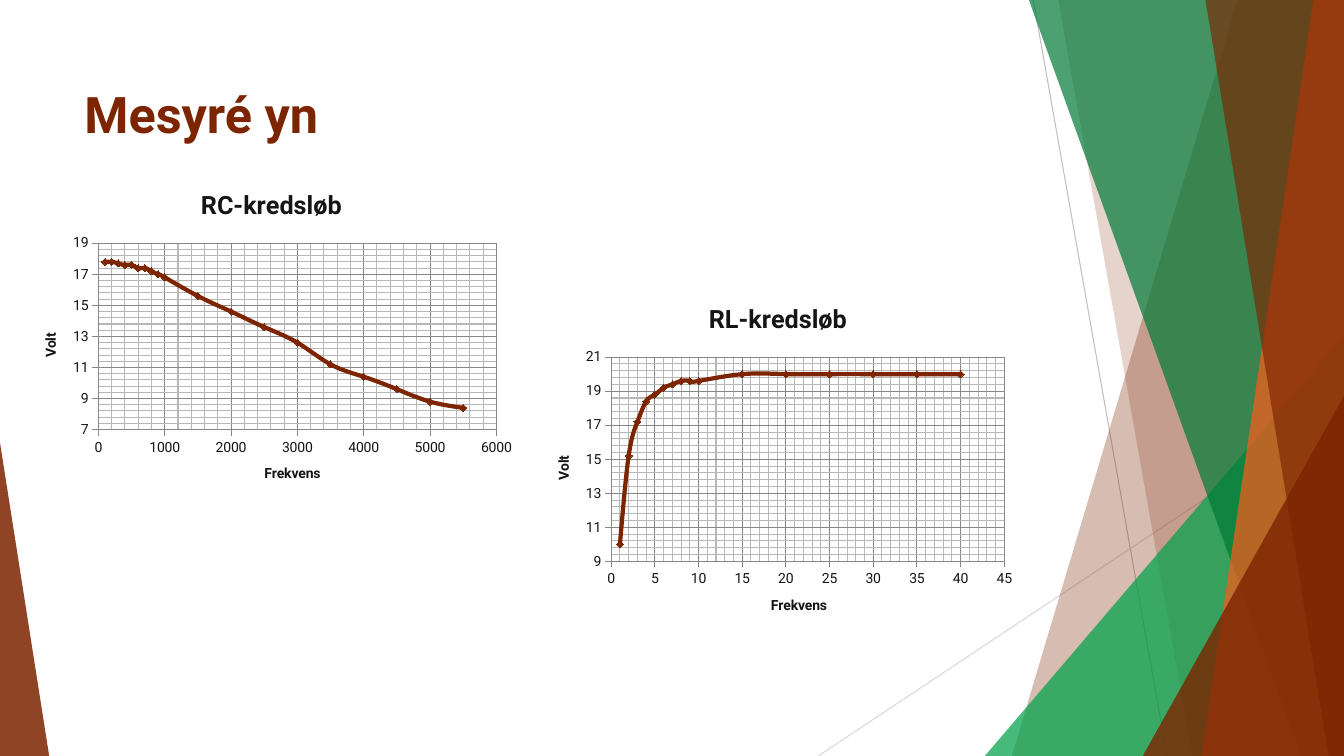
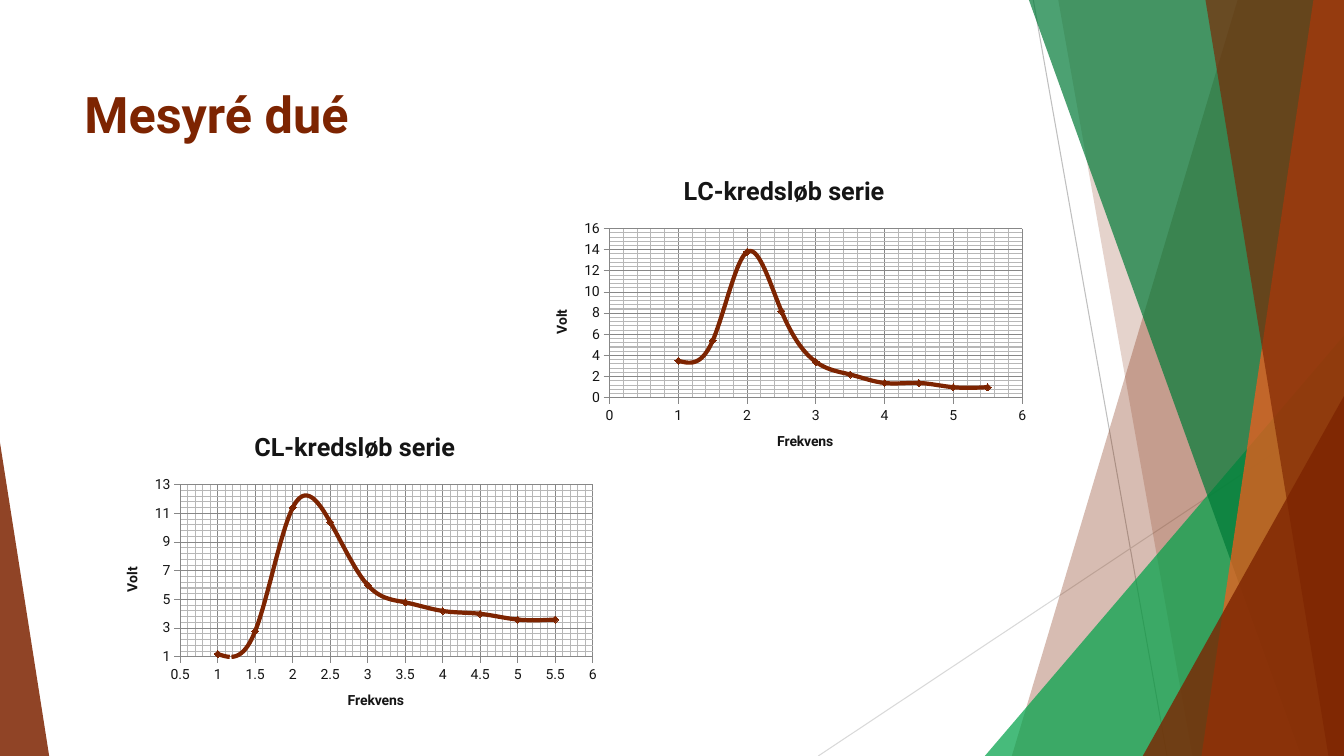
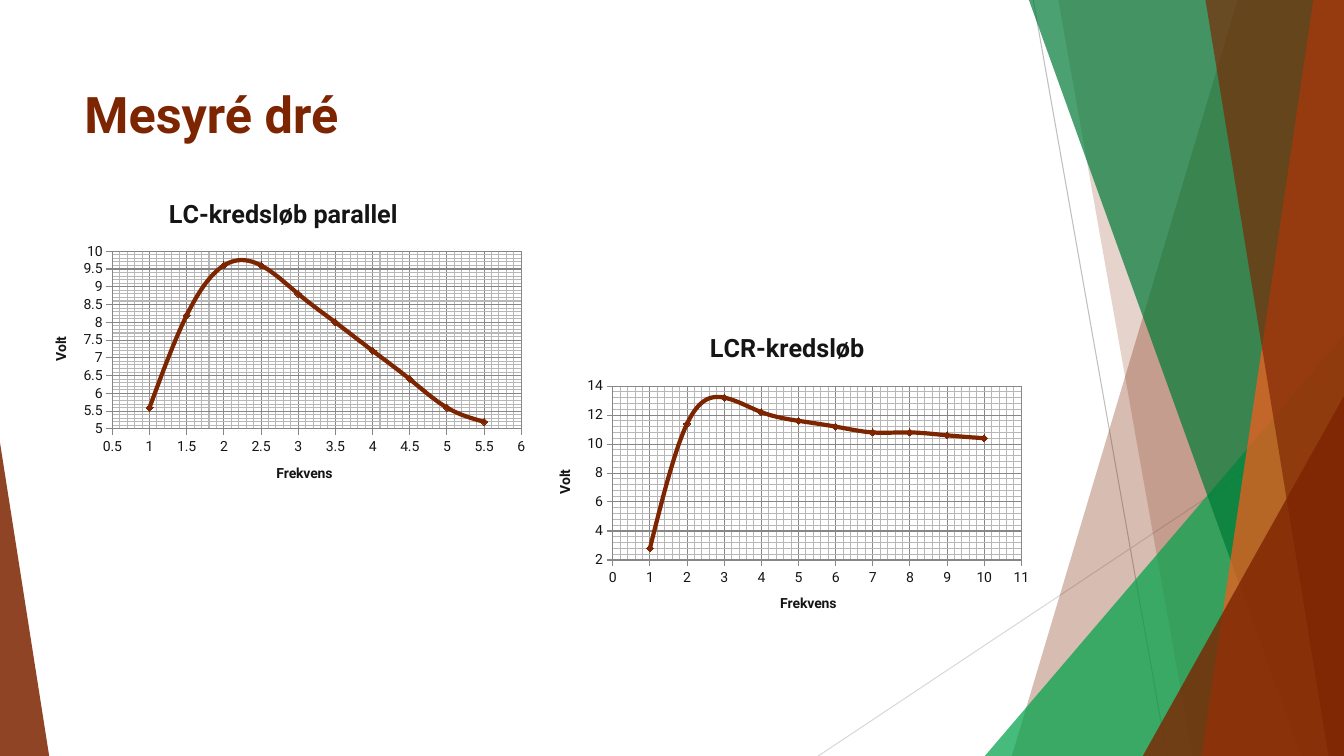
from pptx import Presentation
from pptx import util as u
from pptx.chart import data
from pptx.dml.color import RGBColor
from pptx.enum import chart as kinds, shapes, text
from pptx.oxml import ns, xmlchemy as xml

RUST = RGBColor(0x7D, 0x24, 0x01)
GREEN = RGBColor(0x00, 0xA2, 0x49)
PINE = RGBColor(0x00, 0x7A, 0x37)
FLAME = RGBColor(0xFD, 0x5A, 0x1A)
INK = RGBColor(0x15, 0x15, 0x15)
GRID = RGBColor(0x87, 0x87, 0x87)
SILVER = RGBColor(0xBF, 0xBF, 0xBF)
MIST = RGBColor(0xD9, 0xD9, 0xD9)

WIDE, HIGH = 33.87, 19.05
HALVES = [1 + n / 2 for n in range(10)]
TENS = list(range(1, 11))


def put(item, **values):
    for name, value in values.items():
        setattr(item, name, value)


class Deck:
    """Holds the style and the current slide."""

    head = dict(name="Roboto", size=u.Pt(36), bold=True)
    body = dict(name="Roboto", size=u.Pt(10), bold=False)
    label = dict(name="Roboto", size=u.Pt(10), bold=True)
    top = dict(name="Roboto", size=u.Pt(18), bold=True)

    def __init__(self):
        self.show = Presentation()
        put(self.show, slide_width=u.Cm(WIDE), slide_height=u.Cm(HIGH))
        self.slide = None

    def page(self, title):
        self.slide = self.show.slides.add_slide(self.show.slide_layouts[6])
        self.decor()
        self.title(title)

    # Type
    def type(self, font, style, color):
        put(font, **style)
        font.color.rgb = color

    def title(self, words):
        box = self.slide.shapes.add_textbox(
            u.Cm(1.88), u.Cm(1.96), u.Cm(23.88), u.Cm(2.59))
        frame = box.text_frame
        put(frame, word_wrap=True, vertical_anchor=text.MSO_ANCHOR.TOP)
        frame.text = words
        self.type(frame.paragraphs[0].runs[0].font, self.head, RUST)

    # Background facets
    def decor(self):
        self.line(26.04, 0, 29.41, HIGH, SILVER)
        self.line(WIDE, 10.24, 20.62, HIGH, MIST)
        self.panel(31.19, 25.5, RUST, 30)
        self.panel(26.67, 30.05, RUST, 20)
        self.wedge(24.82, 8.46, 9.05, 1, GREEN, 72)
        self.panel(25.93, 32.79, PINE, 70)
        self.panel(33.1, 30.28, FLAME, 70)
        self.panel(30.38, 33.48, RUST, 65)
        self.wedge(28.8, 9.98, 5.07, 1, RUST, 80)
        self.wedge(0, 11.15, 1.24, 0, RUST, 85)

    def line(self, x1, y1, x2, y2, color):
        line = self.slide.shapes.add_connector(
            shapes.MSO_CONNECTOR.STRAIGHT, *map(u.Cm, (x1, y1, x2, y2)))
        line.line.color.rgb = color
        line.line.width = u.Pt(0.75)
        line.element.spPr.append(xml.OxmlElement("a:effectLst"))

    def panel(self, high, low, color, alpha):
        """Fill from a slanted edge to the right side of the slide."""
        pen = self.slide.shapes.build_freeform(u.Cm(high), 0)
        ends = [(WIDE, 0), (WIDE, HIGH), (low, HIGH)]
        pen.add_line_segments([(u.Cm(x), u.Cm(y)) for x, y in ends])
        self.tint(pen.convert_to_shape(), color, alpha)

    def wedge(self, x, y, wide, peak, color, alpha):
        """Triangle that stands on the bottom edge."""
        shape = self.slide.shapes.add_shape(
            shapes.MSO_SHAPE.ISOSCELES_TRIANGLE,
            *map(u.Cm, (x, y, wide, HIGH - y)))
        shape.adjustments[0] = peak
        self.tint(shape, color, alpha)

    def tint(self, shape, color, alpha):
        shape.shadow.inherit = False
        shape.line.fill.background()
        shape.fill.solid()
        shape.fill.fore_color.rgb = color
        part = xml.OxmlElement("a:alpha")
        part.set("val", str(alpha * 1000))
        shape.element.spPr.find(".//" + ns.qn("a:srgbClr")).append(part)

    # Charts
    def chart(self, title, box, xs, ys, xaxis=None, yaxis=None):
        points = data.XyChartData()
        series = points.add_series("Series 1")
        for x, y in zip(xs, ys):
            series.add_data_point(x, y)
        chart = self.slide.shapes.add_chart(
            kinds.XL_CHART_TYPE.XY_SCATTER_SMOOTH,
            *map(u.Cm, box), points).chart
        put(chart, has_legend=False, has_title=True)
        self.type(chart.font, self.body, INK)
        self.name(chart.chart_title, title, self.top)
        self.axis(chart.category_axis, "Frekvens", xaxis)
        self.axis(chart.value_axis, "Volt", yaxis)
        turn = chart.value_axis.axis_title.element.find(
            ".//" + ns.qn("a:bodyPr"))
        turn.set("rot", "-5400000")
        self.curve(chart)

    def name(self, holder, words, style):
        holder.text_frame.text = words
        run = holder.text_frame.paragraphs[0].runs[0]
        self.type(run.font, style, INK)

    def axis(self, axis, words, limits):
        put(axis, has_title=True, visible=True,
            has_major_gridlines=True, has_minor_gridlines=True,
            major_tick_mark=kinds.XL_TICK_MARK.OUTSIDE,
            minor_tick_mark=kinds.XL_TICK_MARK.NONE, **(limits or {}))
        self.name(axis.axis_title, words, self.label)
        for part in (axis, axis.major_gridlines):
            part.format.line.color.rgb = GRID
            part.format.line.width = u.Pt(0.75)

    def curve(self, chart):
        plot = chart.plots[0]
        plot.vary_by_categories = False
        curve = plot.series[0]
        curve.format.line.color.rgb = RUST
        curve.format.line.width = u.Pt(3)
        mark = curve.marker
        put(mark, style=kinds.XL_MARKER_STYLE.DIAMOND, size=5)
        mark.format.fill.solid()
        mark.format.fill.fore_color.rgb = RUST
        mark.format.line.color.rgb = RUST
        for smooth in chart.element.iter(ns.qn("c:smooth")):
            smooth.set("val", "1")


def main():
    deck = Deck()
    half = dict(minimum_scale=0.5, major_unit=0.5)

    # First measurement
    deck.page("Mesyré yn")
    deck.chart(
        "RC-kredsløb", (0.53, 4.34, 12.62, 8.33),
        [*range(100, 1000, 100), *range(1000, 6000, 500)],
        [17.8, 17.8, 17.7, 17.6, 17.6, 17.4, 17.4, 17.2, 17, 16.8,
         15.6, 14.6, 13.6, 12.6, 11.2, 10.4, 9.6, 8.8, 8.4],
        yaxis=dict(minimum_scale=7, maximum_scale=19))
    deck.chart(
        "RL-kredsløb", (13.46, 7.19, 12.29, 8.81),
        [*TENS, *range(15, 45, 5)],
        [10, 15.2, 17.2, 18.4, 18.8, 19.2, 19.4, 19.6, 19.6, 19.6,
         20, 20, 20, 20, 20, 20],
        dict(maximum_scale=45, major_unit=5), dict(minimum_scale=9))

    # Second measurement
    deck.page("Mesyré dué")
    deck.chart(
        "LC-kredsløb serie", (13.41, 3.99, 12.7, 7.87), HALVES,
        [3.5, 5.4, 13.8, 8.2, 3.4, 2.2, 1.4, 1.4, 1, 1])
    deck.chart(
        "CL-kredsløb serie", (2.59, 10.44, 12.7, 7.95), HALVES,
        [1.2, 2.8, 11.4, 10.4, 6, 4.8, 4.2, 4, 3.6, 3.6],
        half, dict(minimum_scale=1))

    # Third measurement
    deck.page("Mesyré dré")
    deck.chart(
        "LC-kredsløb parallel", (0.79, 4.55, 12.7, 8.1), HALVES,
        [5.6, 8.2, 9.6, 9.6, 8.8, 8, 7.2, 6.4, 5.6, 5.2],
        half, dict(minimum_scale=5, maximum_scale=10))
    deck.chart(
        "LCR-kredsløb", (13.49, 7.95, 12.7, 8), TENS,
        [2.8, 11.4, 13.2, 12.2, 11.6, 11.2, 10.8, 10.8, 10.6, 10.4],
        dict(maximum_scale=11, major_unit=1), dict(minimum_scale=2))

    deck.show.save("out.pptx")


if __name__ == "__main__":
    main()
